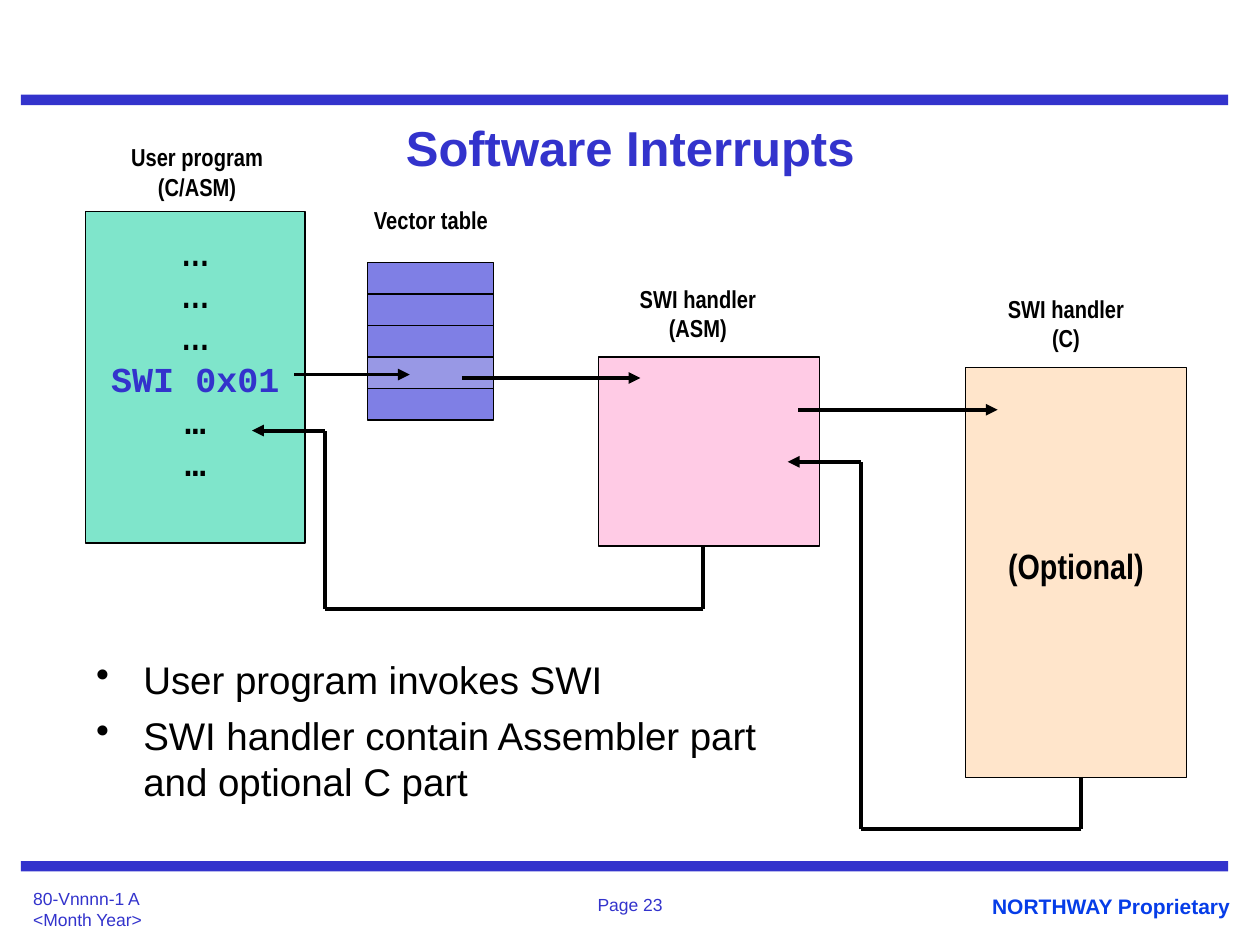
import lxml.etree
import pptx
import pptx.dml.color
import pptx.enum.shapes
import pptx.enum.text
import pptx.oxml
import pptx.oxml.ns
import pptx.util

Cm = pptx.util.Cm
Pt = pptx.util.Pt
qn = pptx.oxml.ns.qn
color = pptx.dml.color.RGBColor.from_string
ALIGN = pptx.enum.text.PP_ALIGN
ANCHOR = pptx.enum.text.MSO_ANCHOR
RECTANGLE = pptx.enum.shapes.MSO_SHAPE.RECTANGLE
STRAIGHT = pptx.enum.shapes.MSO_CONNECTOR.STRAIGHT

BLUE = "3333CC"
BLACK = "000000"


def add_box(left, top, width, height, fill, outlined=True):
    """Add a rectangle; an outlined one is half transparent."""
    box = slide.shapes.add_shape(RECTANGLE, Cm(left), Cm(top), Cm(width), Cm(height))
    box.shadow.inherit = False
    box.fill.solid()
    box.fill.fore_color.rgb = color(fill)
    if outlined:
        box.line.color.rgb = color(BLACK)
        box.line.width = Pt(0.75)
        fill_color = box.fill._xPr.find(".//" + qn("a:srgbClr"))
        lxml.etree.SubElement(fill_color, qn("a:alpha"), val="50000")
    else:
        box.line.fill.background()
    return box


def write(shape, lines, size, font="Arial", fill=BLACK, bold=False,
          align=ALIGN.CENTER, wrap=True, margins=(0.25, 0.13)):
    """Fill a shape with one paragraph per line, all in one format."""
    frame = shape.text_frame
    frame.word_wrap = wrap
    frame.auto_size = pptx.enum.text.MSO_AUTO_SIZE.NONE
    frame.margin_left = frame.margin_right = Cm(margins[0])
    frame.margin_top = frame.margin_bottom = Cm(margins[1])
    frame.text = "\n".join(lines)
    for paragraph in frame.paragraphs:
        paragraph.alignment = align
        paragraph.font.size = Pt(size)
        paragraph.font.name = font
        paragraph.font.bold = bold
        paragraph.font.color.rgb = color(fill)
    return frame


presentation = pptx.Presentation()
presentation.slide_width = Cm(25.4)
presentation.slide_height = Cm(19.05)
slide = presentation.slides.add_slide(presentation.slide_layouts[5])

# Rules above and below the content
for top in (1.91, 17.36):
    add_box(0.42, top, 24.34, 0.21, BLUE, outlined=False)

# Title
title = slide.shapes.title
title.left, title.top, title.width, title.height = Cm(1.91), Cm(2.12), Cm(21.59), Cm(1.69)
write(title, ["Software Interrupts"], 28, fill=BLUE, bold=True).vertical_anchor = ANCHOR.MIDDLE

# Footer
footers = [
    (0.42, 17.78, 5.29, 1.06, ["80-Vnnnn-1 A", "<Month Year>"], 10, BLUE, False, ALIGN.LEFT),
    (8.68, 17.89, 8.04, 0.78, ["Page 23"], 10, BLUE, False, ALIGN.CENTER),
    (19.2, 17.89, 5.85, 0.77, ["NORTHWAY Proprietary"], 12, "063DE8", True, ALIGN.RIGHT),
]
for left, top, width, height, lines, size, fill, bold, align in footers:
    footer = slide.shapes.add_textbox(Cm(left), Cm(top), Cm(width), Cm(height))
    write(footer, lines, size, fill=fill, bold=bold, align=align)

# Bullets
bullets = slide.shapes.add_textbox(Cm(1.69), Cm(13.1), Cm(14.61), Cm(5.05))
frame = write(bullets, ["User program invokes SWI",
                        "SWI handler contain Assembler part and optional C part"],
              22, align=ALIGN.LEFT)
for paragraph in frame.paragraphs:
    properties = paragraph._p.get_or_add_pPr()
    properties.set("marL", str(Cm(0.95)))
    properties.set("indent", str(-Cm(0.95)))
    bullet = pptx.oxml.parse_xml(
        '<a:buChar xmlns:a="http://schemas.openxmlformats.org/drawingml/2006/main" char="•"/>')
    properties.insert(0, bullet)
frame.paragraphs[1].space_before = Pt(5.5)

# User program
program = add_box(1.73, 4.27, 4.42, 6.68, "00CC99")
frame = write(program, ["…", "…", "…", "SWI 0x01", "…", "…"], 20, "Arial Narrow",
              bold=True, wrap=False, margins=(0.51, 0.38))
frame.vertical_anchor = ANCHOR.MIDDLE
frame.margin_bottom = Cm(1.19)
for paragraph in frame.paragraphs[3:]:
    paragraph.font.name = "Courier New"
frame.paragraphs[3].font.color.rgb = color(BLUE)

# Vector table, with the SWI entry in a lighter blue
for row in range(5):
    add_box(7.41, 5.29 + row * 0.635, 2.54, 0.635, BLUE if row == 3 else "0000CC")

# Handlers
add_box(12.07, 7.2, 4.45, 3.81, "FF99CC")
add_box(19.47, 7.41, 4.45, 8.26, "FFCC99")

# Calls and returns: each route ends in an arrowhead
routes = [
    [(5.93, 7.55), (8.26, 7.55)],
    [(9.31, 7.62), (12.91, 7.62)],
    [(16.09, 8.26), (20.11, 8.26)],
    [(21.8, 15.66), (21.8, 16.72), (17.36, 16.72), (17.36, 9.31), (15.88, 9.31)],
    [(14.18, 11.01), (14.18, 12.28), (6.56, 12.28), (6.56, 8.68), (5.08, 8.68)],
]
for route in routes:
    for start, end in zip(route, route[1:]):
        connector = slide.shapes.add_connector(STRAIGHT, *map(Cm, start + end))
        connector.line.color.rgb = color(BLACK)
        connector.line.width = Pt(2.25)
        lxml.etree.SubElement(connector._element.spPr, qn("a:effectLst"))
    lxml.etree.SubElement(connector.line._get_or_add_ln(), qn("a:tailEnd"), type="triangle")

# Labels
labels = [
    (2.64, 2.87, 2.67, 1.19, ["User program", "(C/ASM)"], 14),
    (7.52, 4.14, 2.34, 0.58, ["Vector table"], 14),
    (12.9, 5.72, 2.34, 1.19, ["SWI handler", "(ASM)"], 14),
    (20.32, 5.92, 2.34, 1.19, ["SWI handler", "(C)"], 14),
    (20.32, 10.97, 2.74, 0.84, ["(Optional)"], 20),
]
for left, top, width, height, lines, size in labels:
    label = slide.shapes.add_textbox(Cm(left), Cm(top), Cm(width), Cm(height))
    write(label, lines, size, "Arial Narrow", bold=True, wrap=False, margins=(0, 0))

presentation.save("out.pptx")
